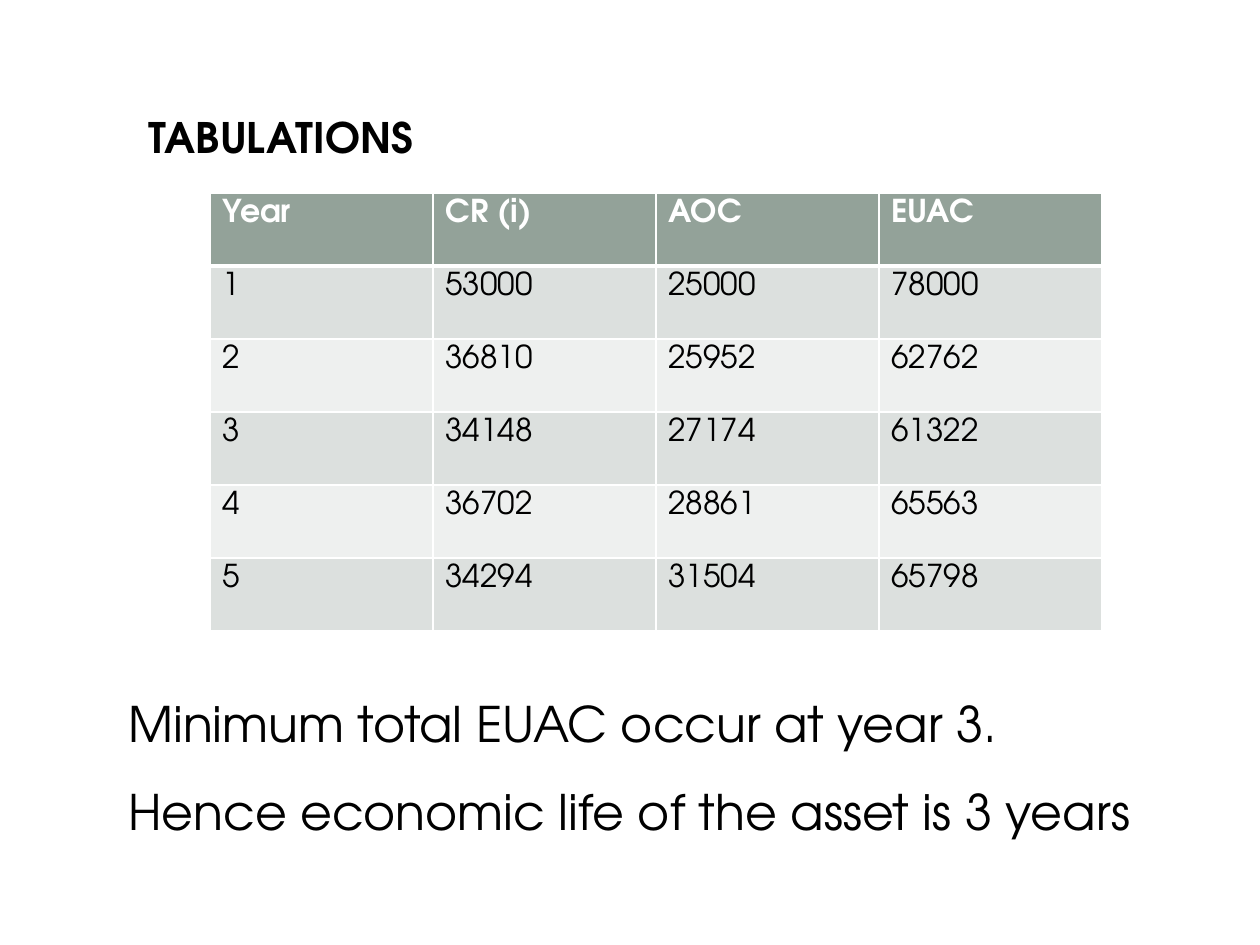
from lxml import etree
from pptx import Presentation
from pptx.dml.color import RGBColor
from pptx.enum.text import MSO_ANCHOR, MSO_AUTO_SIZE, PP_ALIGN
from pptx.oxml.ns import qn
from pptx.util import Emu, Inches, Pt

TITLE = "TABULATIONS"
HEADERS = ["Year", "CR (i)", "AOC", "EUAC"]
COSTS = [
    (1, 53000, 25000, 78000),
    (2, 36810, 25952, 62762),
    (3, 34148, 27174, 61322),
    (4, 36702, 28861, 65563),
    (5, 34294, 31504, 65798),
]
CONCLUSIONS = [
    "Minimum total EUAC occur at year 3.",
    "Hence economic life of the asset is 3 years",
]

FONT = "TeX Gyre Adventor"
BLACK = RGBColor(0x00, 0x00, 0x00)
WHITE = RGBColor(0xFF, 0xFF, 0xFF)
HEADER_FILL = RGBColor(0x93, 0xA2, 0x99)
BAND_FILLS = [RGBColor(0xDC, 0xE0, 0xDE), RGBColor(0xEE, 0xF0, 0xEF)]

LEFT = PP_ALIGN.LEFT
TOP = MSO_ANCHOR.TOP
NO_AUTOFIT = MSO_AUTO_SIZE.NONE
EMU_PER_PX = Inches(1) / 126

TITLE_AREA = (136, 105, 295, 63)
TABLE_AREA = (210, 193, 892, 438)
CONCLUSION_AREA = (116, 658, 1042, 180)


def px(*lengths):
    return [Emu(round(length * EMU_PER_PX)) for length in lengths]


def style_paragraph(para, size, color, bold=False):
    para.alignment = LEFT
    para.font.name = FONT
    para.font.size = Pt(size)
    para.font.bold = bold
    para.font.color.rgb = color


def set_borders(cell, widths):
    """Draw white cell borders; widths maps a side (L, R, T, B) to points."""
    properties = cell._tc.get_or_add_tcPr()
    for side, width in widths.items():
        line = etree.SubElement(properties, qn(f"a:ln{side}"), w=str(Pt(width)))
        fill = etree.SubElement(line, qn("a:solidFill"))
        etree.SubElement(fill, qn("a:srgbClr"), val=str(WHITE))


def add_title(slide):
    title = slide.shapes.title
    title.left, title.top, title.width, title.height = px(*TITLE_AREA)
    frame = title.text_frame
    frame.text = TITLE
    frame.word_wrap = False
    frame.auto_size = NO_AUTOFIT
    frame.vertical_anchor = TOP
    style_paragraph(frame.paragraphs[0], 24, BLACK, bold=True)


def add_cost_table(slide):
    rows = [HEADERS, *COSTS]
    table = slide.shapes.add_table(len(rows), len(HEADERS), *px(*TABLE_AREA)).table
    for row_index, values in enumerate(rows):
        is_header = row_index == 0
        fill = HEADER_FILL if is_header else BAND_FILLS[(row_index - 1) % 2]
        top = 3 if row_index == 1 else 1
        bottom = 3 if is_header else 1
        for column_index, value in enumerate(values):
            cell = table.cell(row_index, column_index)
            cell.text = str(value)
            style_paragraph(cell.text_frame.paragraphs[0], 18,
                            WHITE if is_header else BLACK, bold=is_header)
            set_borders(cell, {"L": 1, "R": 1, "T": top, "B": bottom})
            cell.fill.solid()
            cell.fill.fore_color.rgb = fill


def add_conclusions(slide):
    frame = slide.shapes.add_textbox(*px(*CONCLUSION_AREA)).text_frame
    frame.word_wrap = False
    frame.text = "\n".join(CONCLUSIONS)
    for para in frame.paragraphs:
        para.line_spacing = 1.5
        style_paragraph(para, 28, BLACK)


def main():
    deck = Presentation()
    deck.slide_width, deck.slide_height = px(1260, 945)
    slide = deck.slides.add_slide(deck.slide_layouts[5])
    add_title(slide)
    add_cost_table(slide)
    add_conclusions(slide)
    deck.save("out.pptx")


if __name__ == "__main__":
    main()
